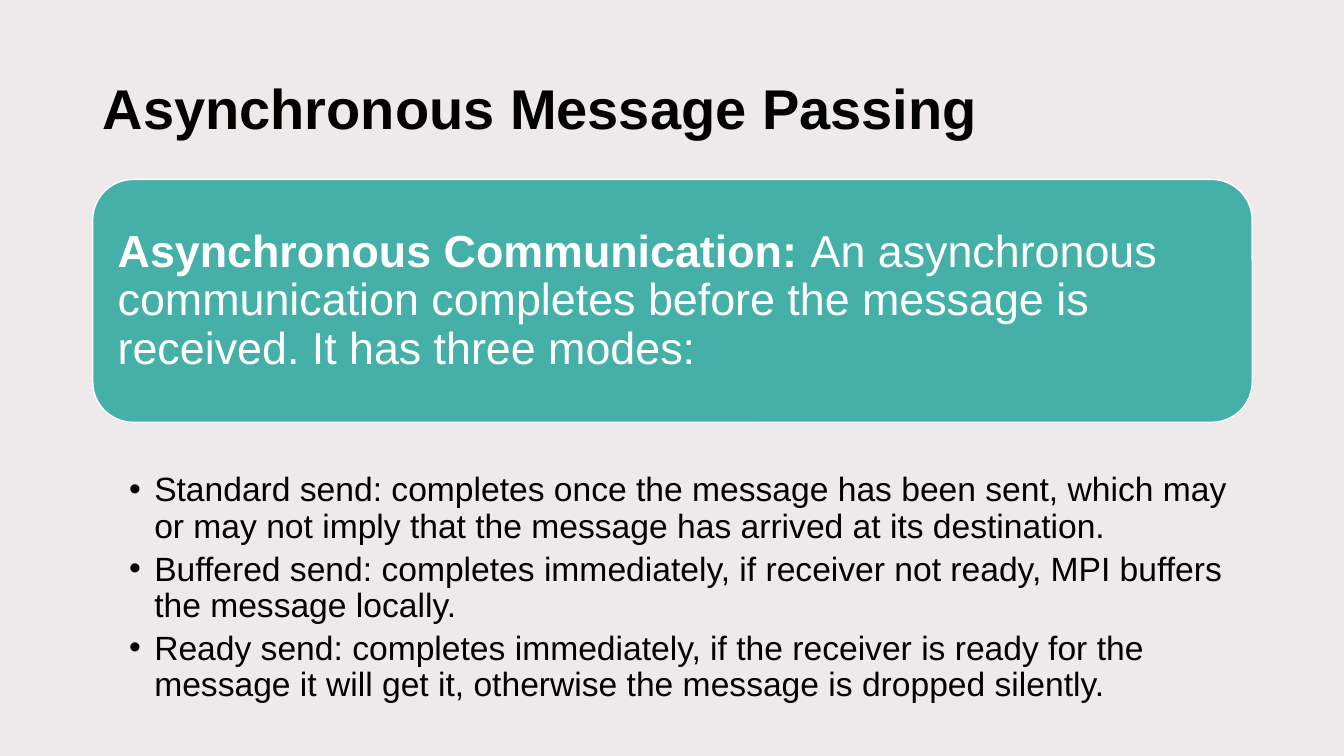
from dataclasses import dataclass

from lxml import etree
from pptx import Presentation
from pptx.dml.color import RGBColor
from pptx.enum.shapes import MSO_SHAPE
from pptx.enum.text import MSO_ANCHOR, MSO_AUTO_SIZE, PP_ALIGN
from pptx.oxml.ns import qn
from pptx.util import Inches, Pt


@dataclass(frozen=True)
class Theme:
    font: str = "Arial"
    tint: RGBColor = RGBColor(0xE8, 0xE2, 0xE3)
    tint_opacity: int = 70
    ink: RGBColor = RGBColor(0, 0, 0)
    accent: RGBColor = RGBColor(0x45, 0xB0, 0xA7)
    light: RGBColor = RGBColor(0xFF, 0xFF, 0xFF)
    title_size: int = 40
    callout_size: int = 32
    body_size: int = 24


THEME = Theme()
SLIDE_WIDTH, SLIDE_HEIGHT = 13.33, 7.5
LEFT, WIDTH = 0.92, 11.5
TITLE = "Asynchronous Message Passing"
TERM = "Asynchronous Communication: "
DEFINITION = (
    "An asynchronous communication completes before the message is received. "
    "It has three modes:"
)
MODES = [
    "Standard send: completes once the message has been sent, which may or may not "
    "imply that the message has arrived at its destination.",
    "Buffered send: completes immediately, if receiver not ready, MPI buffers the "
    "message locally.",
    "Ready send: completes immediately, if the receiver is ready for the message it "
    "will get it, otherwise the message is dropped silently.",
]


def place(shape, box):
    shape.left, shape.top, shape.width, shape.height = map(Inches, box)


def add_filled_shape(slide, kind, box, color):
    shape = slide.shapes.add_shape(kind, *map(Inches, box))
    shape.shadow.inherit = False
    shape.fill.solid()
    shape.fill.fore_color.rgb = color
    shape.line.fill.background()
    return shape


def prepare_frame(shape, anchor, insets):
    frame = shape.text_frame
    frame.word_wrap = True
    frame.auto_size = MSO_AUTO_SIZE.NONE
    frame.vertical_anchor = anchor
    (frame.margin_left, frame.margin_top,
     frame.margin_right, frame.margin_bottom) = map(Inches, insets)
    return frame


def style_paragraph(paragraph, size, color, space_after=0):
    paragraph.alignment = PP_ALIGN.LEFT
    paragraph.line_spacing = 0.9
    paragraph.space_before = Pt(0)
    paragraph.space_after = Pt(space_after)
    paragraph.font.name = THEME.font
    paragraph.font.size = Pt(size)
    paragraph.font.color.rgb = color


def add_bullet(paragraph):
    properties = paragraph._p.get_or_add_pPr()
    properties.set("marL", str(Inches(0.25)))
    properties.set("indent", str(Inches(-0.25)))
    etree.SubElement(properties, qn("a:buFont")).set("typeface", THEME.font)
    etree.SubElement(properties, qn("a:buChar")).set("char", "•")


def add_backdrop(slide, box):
    base = add_filled_shape(slide, MSO_SHAPE.RECTANGLE, box, THEME.light)
    tint = add_filled_shape(slide, MSO_SHAPE.RECTANGLE, box, THEME.tint)
    color = tint._element.spPr.find(qn("a:solidFill"))[0]
    etree.SubElement(color, qn("a:alpha")).set("val", str(THEME.tint_opacity * 1000))
    for shape in (tint, base):
        slide.shapes._spTree.insert(2, shape._element)


def fill_title(slide, box):
    title = slide.shapes.title
    place(title, box)
    frame = prepare_frame(title, MSO_ANCHOR.MIDDLE, (0.1, 0.05, 0.1, 0.05))
    frame.text = TITLE
    paragraph = frame.paragraphs[0]
    style_paragraph(paragraph, THEME.title_size, THEME.ink)
    paragraph.font.bold = True


def add_callout(slide, box):
    callout = add_filled_shape(slide, MSO_SHAPE.ROUNDED_RECTANGLE, box, THEME.accent)
    callout.line.color.rgb = THEME.light
    callout.line.width = Pt(1)
    frame = prepare_frame(callout, MSO_ANCHOR.MIDDLE, (0.13, 0.14, 0.13, 0.13))
    paragraph = frame.paragraphs[0]
    for text, bold in ((TERM, True), (DEFINITION, False)):
        run = paragraph.add_run()
        run.text = text
        run.font.bold = bold
    style_paragraph(paragraph, THEME.callout_size, THEME.light)


def fill_modes(slide, box):
    body = slide.placeholders[1]
    place(body, box)
    frame = prepare_frame(body, MSO_ANCHOR.TOP, (0.36, 0.03, 0.19, 0.03))
    frame.text = "\n".join(MODES)
    for paragraph in frame.paragraphs:
        add_bullet(paragraph)
        style_paragraph(paragraph, THEME.body_size, THEME.ink, space_after=4.8)


def build_slide(presentation):
    slide = presentation.slides.add_slide(presentation.slide_layouts[1])
    add_backdrop(slide, (0, 0, SLIDE_WIDTH, SLIDE_HEIGHT))
    fill_title(slide, (LEFT, 0.38, WIDTH, 1.44))
    add_callout(slide, (LEFT, 1.78, WIDTH, 2.41))
    fill_modes(slide, (LEFT, 4.66, WIDTH, 2.25))


def main():
    presentation = Presentation()
    presentation.slide_width = Inches(SLIDE_WIDTH)
    presentation.slide_height = Inches(SLIDE_HEIGHT)
    build_slide(presentation)
    presentation.save("out.pptx")


if __name__ == "__main__":
    main()
